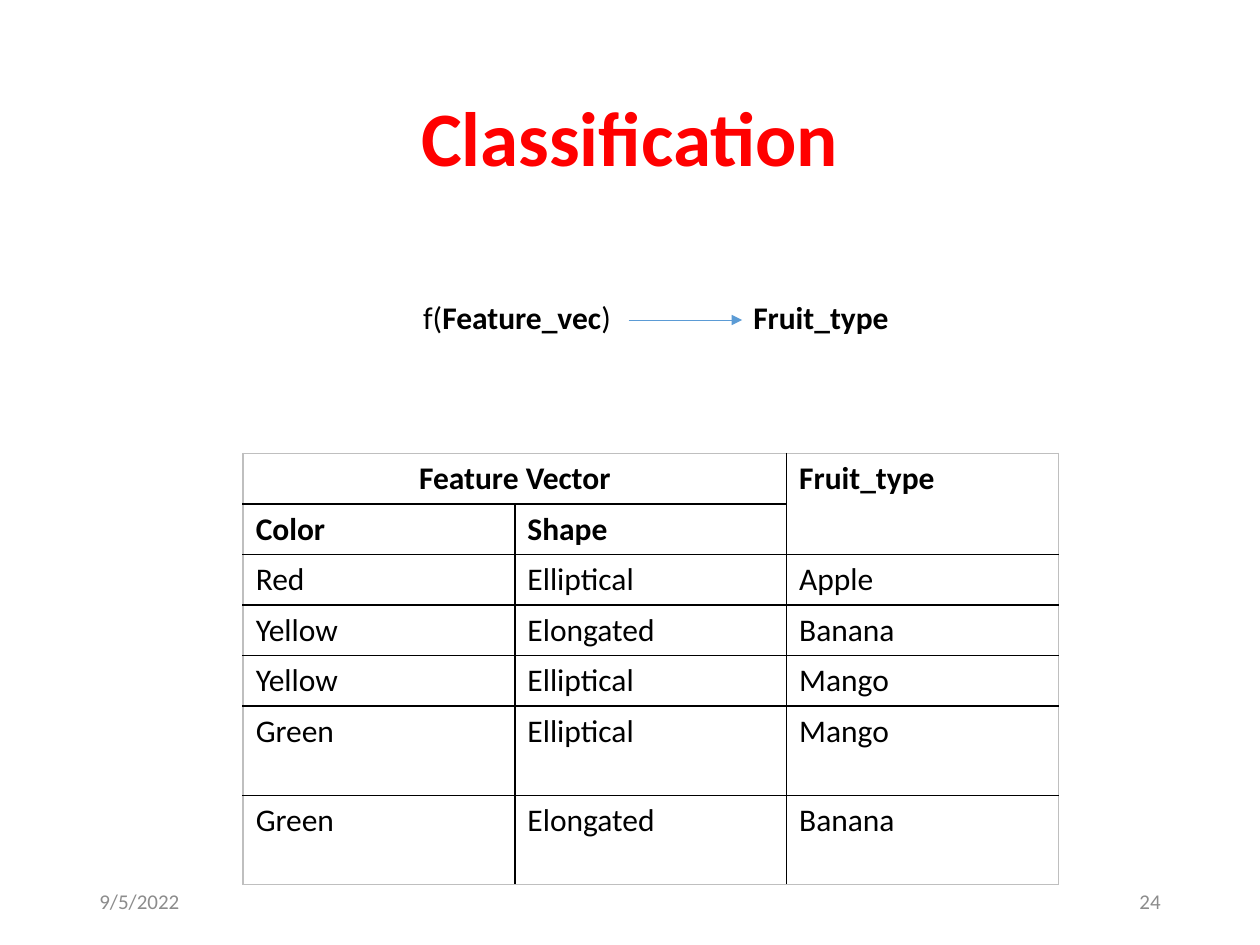
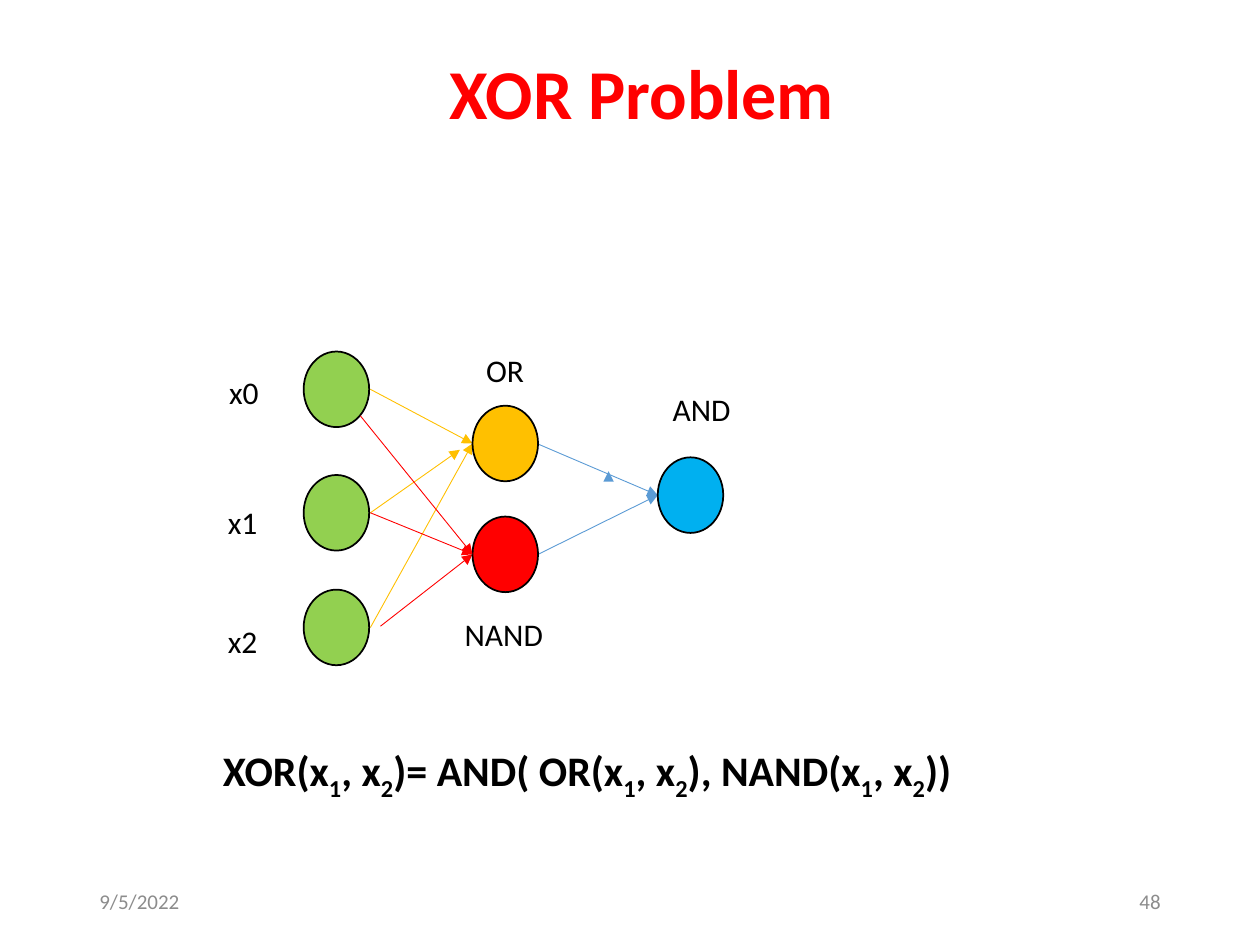
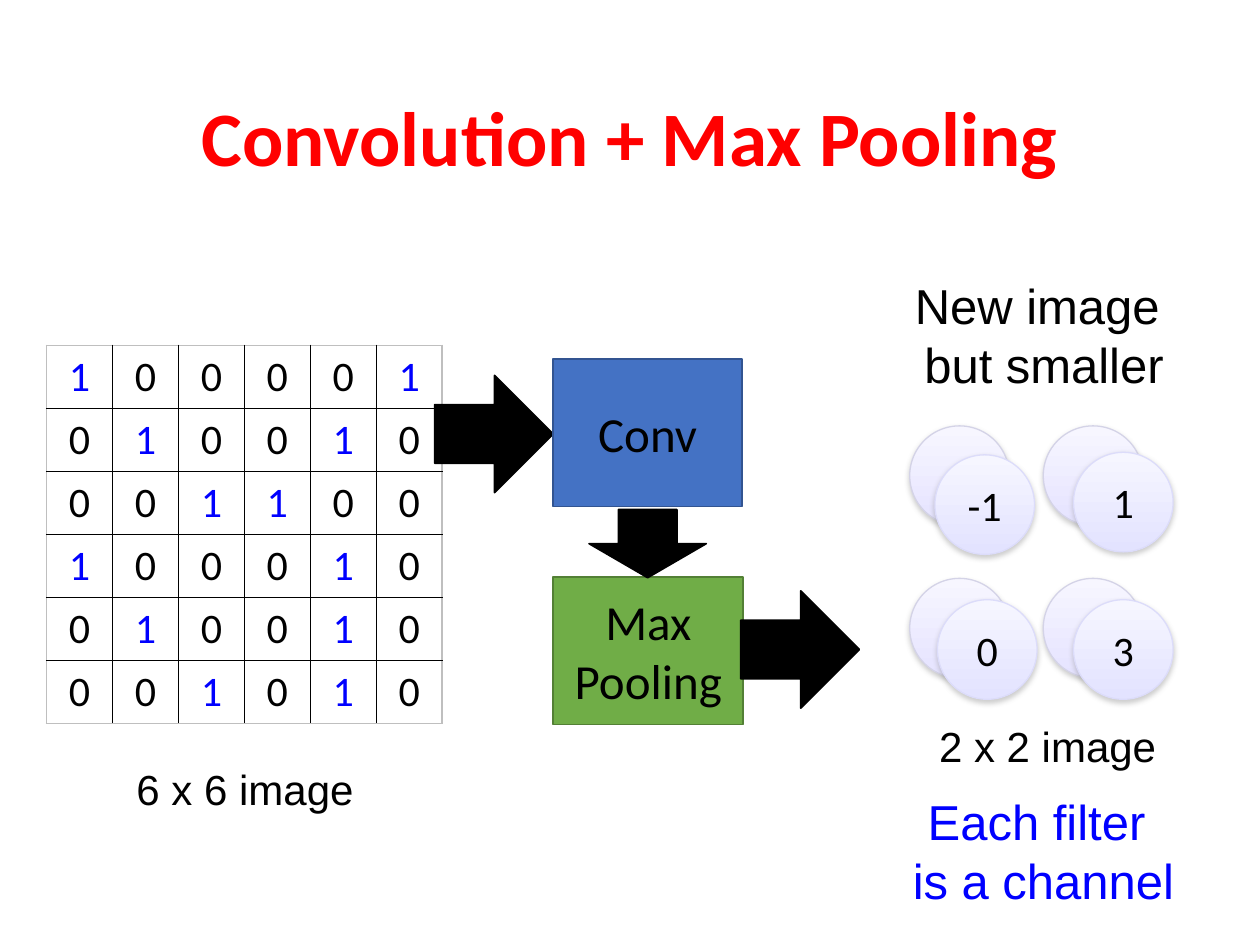
from dataclasses import dataclass
from itertools import product
from typing import NamedTuple

from lxml import etree
from pptx import Presentation, util as u
from pptx.dml.color import RGBColor
from pptx.enum import shapes, text
from pptx.oxml.ns import qn

# Shared look
BLACK, RED, BLUE, GREY, EDGE = "000000", "FF0000", "0000FF", "8C8C8C", "BFBFBF"
GOLD, GREEN, SKY, LINK = "FFC000", "92D050", "00B0F0", "5B9BD5"
BODY, SANS = "Calibri", "Arial"
LEFT, CENTER, RIGHT = text.PP_ALIGN.LEFT, text.PP_ALIGN.CENTER, text.PP_ALIGN.RIGHT
TOP, MIDDLE = text.MSO_ANCHOR.TOP, text.MSO_ANCHOR.MIDDLE
SHAPE = shapes.MSO_SHAPE


class Box(NamedTuple):
    x: float
    y: float
    w: float
    h: float

    def lengths(self) -> list:
        return [u.Inches(v) for v in self]


@dataclass
class Style:
    size: float = 18
    color: str = BLACK
    bold: bool = False
    font: str = BODY
    align: int = LEFT
    anchor: int = TOP
    spacing: float = 1.0
    wrap: bool = True


class Link(NamedTuple):
    x1: float
    y1: float
    x2: float
    y2: float
    color: str


class Node(NamedTuple):
    x: float
    y: float
    color: str


class Label(NamedTuple):
    words: str
    box: Box
    wrap: bool = False


class Disc(NamedTuple):
    x: float
    y: float
    words: str = ""


class Gloss(NamedTuple):
    top: str
    bottom: str
    line: str


class Block(NamedTuple):
    kind: int
    box: Box
    fill: str
    line: str
    words: str = ""
    turn: float = 0


def rgb(value: str) -> RGBColor:
    return RGBColor.from_string(value)


def sub(parent, tag: str, **attrs):
    """Append a drawing element with the given attributes."""
    return etree.SubElement(parent, qn(tag), {k: str(v) for k, v in attrs.items()})


# Text
def set_font(font, style: Style) -> None:
    values = {"size": u.Pt(style.size), "name": style.font, "bold": style.bold}
    for name, value in values.items():
        setattr(font, name, value)
    font.color.rgb = rgb(style.color)


def write(tf, words: str, style: Style) -> None:
    """Write one paragraph per line of words."""
    for i, line in enumerate(words.split("\n")):
        p = tf.paragraphs[0] if i == 0 else tf.add_paragraph()
        p.alignment = style.align
        p.line_spacing = style.spacing
        r = p.add_run()
        r.text = line
        set_font(r.font, style)


def add_text(s, box: Box, words: str, style: Style):
    tf = s.shapes.add_textbox(*box.lengths()).text_frame
    tf.word_wrap = style.wrap
    tf.vertical_anchor = style.anchor
    write(tf, words, style)
    return tf


def add_mixed(s, box: Box, parts: list[str], style: Style, odd: dict, tab: float = 0) -> None:
    """Write one line in which every second part takes the odd format."""
    tf = s.shapes.add_textbox(*box.lengths()).text_frame
    tf.word_wrap = True
    p = tf.paragraphs[0]
    if tab:
        stops = sub(p._p.get_or_add_pPr(), "a:tabLst")
        sub(stops, "a:tab", pos=u.Inches(tab), algn="l")
    for i, part in enumerate(parts):
        r = p.add_run()
        r.text = part
        set_font(r.font, style)
        if i % 2:
            for name, value in odd.items():
                r._r.get_or_add_rPr().set(name, value)


def add_title(s, words: str, box: Box = Box(0.69, 0.4, 8.62, 1.45),
              size: float = 44, lift: float = 0.05) -> None:
    style = Style(size, RED, True, align=CENTER, anchor=MIDDLE, spacing=0.9)
    add_text(s, box, words, style).margin_bottom = u.Inches(lift)


def add_footer(s, number: str) -> None:
    for x, words, align in ((0.69, "9/5/2022", LEFT), (7.06, number, RIGHT)):
        style = Style(12, GREY, align=align, anchor=MIDDLE)
        add_text(s, Box(x, 6.95, 2.25, 0.4), words, style)


# Shapes and lines
def add_arrow(s, link: Link) -> None:
    ends = [u.Inches(v) for v in link[:4]]
    c = s.shapes.add_connector(shapes.MSO_CONNECTOR.STRAIGHT, *ends)
    c.line.color.rgb = rgb(link.color)
    c.line.width = u.Pt(0.5)
    sub(c.line._get_or_add_ln(), "a:tailEnd", type="triangle")
    sub(c._element.spPr, "a:effectLst")


def add_shape(s, kind: int, box: Box, fill: str, line: str, width: float = 1):
    sp = s.shapes.add_shape(kind, *box.lengths())
    sp.shadow.inherit = False
    sp.fill.solid()
    sp.fill.fore_color.rgb = rgb(fill)
    sp.line.color.rgb = rgb(line)
    sp.line.width = u.Pt(width)
    return sp


def add_block(s, block: Block) -> None:
    sp = add_shape(s, block.kind, block.box, block.fill, block.line)
    sp.rotation = block.turn
    if block.words:
        write(sp.text_frame, block.words, Style(28, align=CENTER))


def add_disc(s, disc: Disc, gloss: Gloss) -> None:
    """A glossy disc with a soft shadow below it."""
    sp = add_shape(s, SHAPE.OVAL, Box(disc.x, disc.y, 0.79, 0.79), gloss.top, gloss.line, 0.75)
    sp.fill.gradient()
    sp.fill.gradient_angle = 270
    for stop, color in zip(sp.fill.gradient_stops, (gloss.top, gloss.bottom)):
        stop.color.rgb = rgb(color)
    effects = sp._element.spPr.find(qn("a:effectLst"))
    shadow = sub(effects, "a:outerShdw", blurRad=u.Pt(3.1), dist=u.Pt(1.6),
                 dir=5400000, rotWithShape=0)
    sub(sub(shadow, "a:srgbClr", val="808080"), "a:alpha", val=38000)
    if disc.words:
        write(sp.text_frame, disc.words, Style(24, align=CENTER))


# Tables
def set_borders(cell, outer: dict[str, bool]) -> None:
    """Black lines inside the table, pale ones along its edge."""
    tc_pr = cell._tc.get_or_add_tcPr()
    for side, on_edge in outer.items():
        ln = sub(tc_pr, side, w=u.Pt(1))
        sub(sub(ln, "a:solidFill"), "a:srgbClr", val=EDGE if on_edge else BLACK)


def add_grid(s, box: Box, heights: list[float], cols: int):
    rows = len(heights)
    t = s.shapes.add_table(rows, cols, *box.lengths()).table
    t.first_row = t.horz_banding = False
    for row, height in zip(t.rows, heights):
        row.height = u.Inches(height)
    for col in t.columns:
        col.width = u.Inches(box.w / cols)
    for i, j in product(range(rows), range(cols)):
        cell = t.cell(i, j)
        set_borders(cell, {"a:lnL": j == 0, "a:lnR": j == cols - 1,
                           "a:lnT": i == 0, "a:lnB": i == rows - 1})
        cell.fill.background()
    return t


# Slides
def classification(s) -> None:
    add_title(s, "Classification")
    rows = [
        ("Feature Vector", "", "Fruit_type"),
        ("Color", "Shape", ""),
        ("Red", "Elliptical", "Apple"),
        ("Yellow", "Elongated", "Banana"),
        ("Yellow", "Elliptical", "Mango"),
        ("Green", "Elliptical", "Mango"),
        ("Green", "Elongated", "Banana"),
    ]
    t = add_grid(s, Box(1.93, 3.6, 6.47, 3.42), [0.4] * 5 + [0.71] * 2, 3)
    t.cell(0, 0).merge(t.cell(0, 1))
    t.cell(0, 2).merge(t.cell(1, 2))
    for i, row in enumerate(rows):
        for j, words in enumerate(row):
            if words:
                align = CENTER if i == j == 0 else LEFT
                write(t.cell(i, j).text_frame, words, Style(bold=i < 2, align=align))
    add_footer(s, "24")
    # Mapping from features to class
    add_mixed(s, Box(3.26, 2.32, 4.22, 0.4), ["f(", "Feature_vec", ")\t", "Fruit_type"],
              Style(), {"b": "1"}, tab=2.62)
    add_arrow(s, Link(4.99, 2.54, 5.89, 2.54, LINK))


def xor_problem(s) -> None:
    add_title(s, "XOR Problem", Box(0.35, 0.4, 9.49, 1.45), 40, lift=0.77)
    add_footer(s, "48")
    links = [
        Link(2.94, 3.09, 3.75, 3.52, GOLD),
        Link(2.94, 4.07, 3.65, 3.57, GOLD),
        Link(2.94, 4.98, 3.75, 3.52, GOLD),
        Link(2.94, 4.07, 3.75, 4.4, RED),
        Link(3.02, 4.97, 3.75, 4.4, RED),
        Link(4.26, 3.52, 5.22, 3.93, LINK),
        Link(4.27, 4.4, 5.22, 3.93, LINK),
        Link(4.83, 3.75, 4.83, 3.74, LINK),
    ]
    for link in links:
        add_arrow(s, link)
    labels = [
        Label("OR", Box(3.76, 2.74, 0.51, 0.4)),
        Label("NAND", Box(3.59, 4.83, 0.83, 0.4)),
        Label("AND", Box(5.24, 3.05, 0.67, 0.4)),
        Label("x0", Box(1.72, 2.91, 0.44, 0.4)),
        Label("x1", Box(1.71, 3.94, 5.8, 0.4), True),
        Label("x2", Box(1.71, 4.89, 5.8, 0.4), True),
    ]
    for label in labels:
        add_text(s, label.box, label.words, Style(wrap=label.wrap))
    # Inputs, hidden gates and output gate
    nodes = [Node(2.41, y, GREEN) for y in (2.79, 3.77, 4.68)]
    nodes += [Node(3.75, 3.22, GOLD), Node(3.75, 4.1, RED), Node(5.22, 3.63, SKY)]
    for node in nodes:
        add_shape(s, SHAPE.OVAL, Box(node.x, node.y, 0.52, 0.6), node.color, BLACK)
    add_arrow(s, Link(2.86, 3.3, 3.75, 4.4, RED))
    formula = "XOR(x|1|, x|2|)= AND( OR(x|1|, x|2|), NAND(x|1|, x|2|))"
    add_mixed(s, Box(1.67, 5.86, 7.02, 0.5), formula.split("|"),
              Style(24, bold=True), {"baseline": "-25000"})


def pooling(s) -> None:
    add_title(s, "Convolution + Max Pooling")
    # Input image
    pixels = ["100001", "010010", "001100", "100010", "010010", "001010"]
    t = add_grid(s, Box(0.37, 2.74, 3.14, 3), [0.5] * 6, 6)
    for i, j in product(range(6), repeat=2):
        bit = pixels[i][j]
        style = Style(24, BLUE if bit == "1" else BLACK, align=CENTER)
        write(t.cell(i, j).text_frame, bit, style)
    caption = Style(24, font=SANS, align=CENTER)
    add_text(s, Box(0.66, 6.01, 2.57, 0.51), "6 x 6 image", caption)
    # Two channels of the pooled image
    back = Gloss("F7F6FF", "E5E3FF", "D4D3E7")
    front = Gloss("F6F6FF", "E3E3FF", "DCDCFA")
    channels = {
        back: [Disc(x, y) for y, x in product((3.38, 4.59), (7.22, 8.28))],
        front: [Disc(7.42, 3.61, "-1"), Disc(8.52, 3.59, "1"),
                Disc(8.52, 4.76, "3"), Disc(7.44, 4.76, "0")],
    }
    for gloss, discs in channels.items():
        for disc in discs:
            add_disc(s, disc, gloss)
    add_text(s, Box(7.03, 5.67, 2.57, 0.51), "2 x 2 image", caption)
    add_text(s, Box(7.04, 6.23, 2.48, 1.05), "Each filter \nis a channel",
             Style(28, BLUE, font=SANS, align=CENTER))
    add_text(s, Box(7.04, 2.14, 2.49, 1.04), "New image \nbut smaller",
             Style(28, font=SANS, align=CENTER))
    # Processing steps
    arrow = SHAPE.RIGHT_ARROW
    blocks = [
        Block(arrow, Box(3.45, 2.98, 0.94, 0.93), BLACK, BLACK),
        Block(SHAPE.RECTANGLE, Box(4.39, 2.85, 1.5, 1.17), "4472C4", "325491", "Conv"),
        Block(SHAPE.RECTANGLE, Box(4.39, 4.58, 1.51, 1.17), "70AD47", "538035", "Max\nPooling"),
        Block(arrow, Box(5.88, 4.69, 0.94, 0.93), BLACK, BLACK),
        Block(arrow, Box(4.87, 3.85, 0.54, 0.93), BLACK, BLACK, turn=90),
    ]
    for block in blocks:
        add_block(s, block)


def main() -> None:
    prs = Presentation()
    prs.slide_width, prs.slide_height = u.Inches(10), u.Inches(7.5)
    for build in (classification, xor_problem, pooling):
        build(prs.slides.add_slide(prs.slide_layouts[6]))
    prs.save("out.pptx")


if __name__ == "__main__":
    main()
